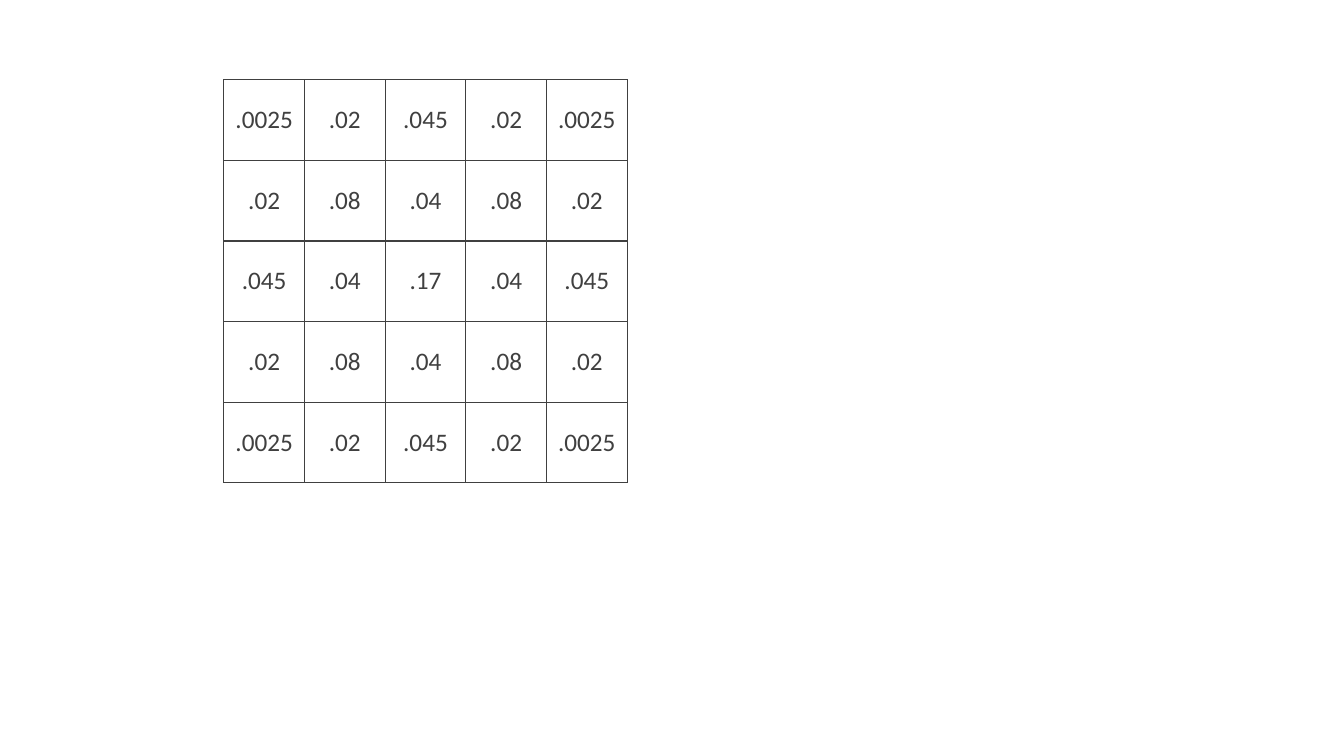
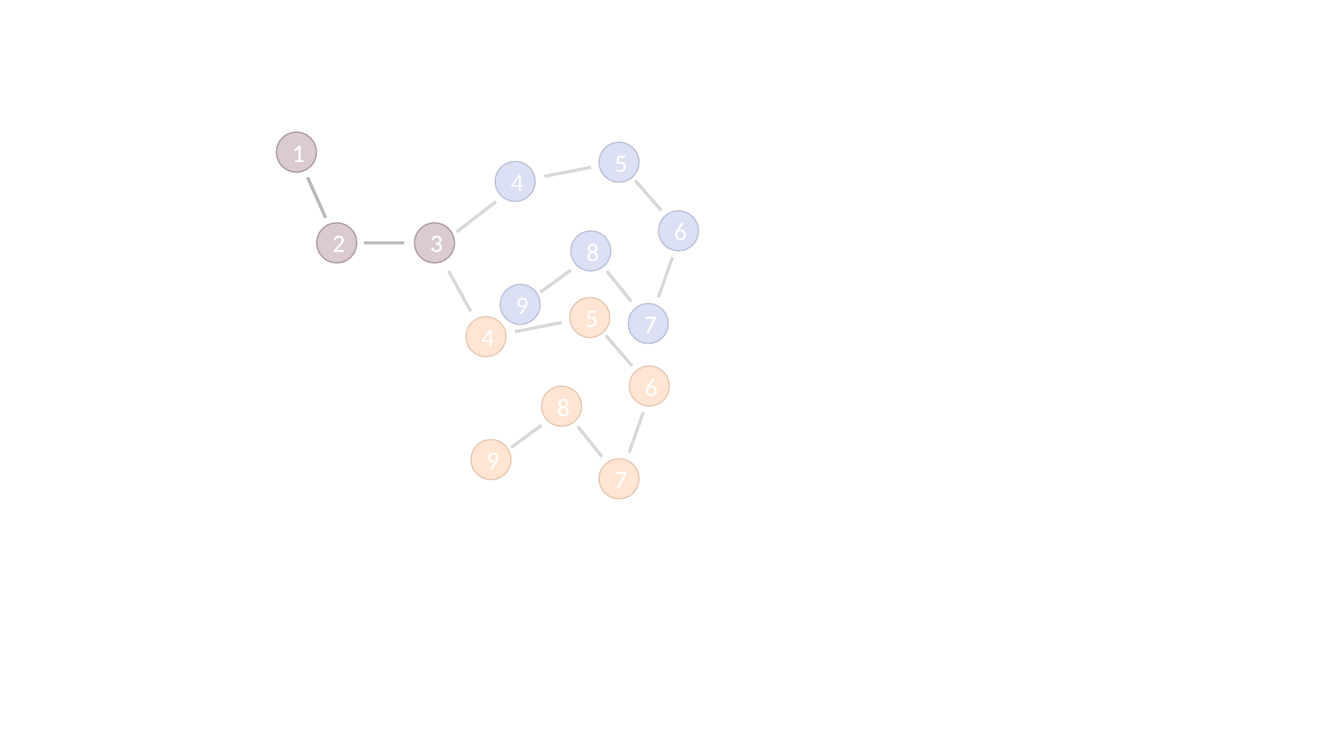
"""Build two slides: a 5 by 5 weight table and two branching chains of numbered nodes."""
from lxml import etree
from pptx import Presentation
from pptx import util as u
from pptx.dml.color import RGBColor
from pptx.enum import shapes, text
from pptx.oxml.ns import qn

STEP = u.Inches(0.1)
DARK, WHITE = "404040", "FFFFFF"
FONT, SIZE = "Calibri", u.Pt(18)


def paint(fill, colour, part=None, opacity=20):
    """Fill with a hex colour; fade every colour of the given part, if any."""
    fill.solid()
    fill.fore_color.rgb = RGBColor.from_string(colour)
    if part is not None:
        for tint in part.iter(qn("a:srgbClr")):
            if len(tint) == 0:
                etree.SubElement(tint, qn("a:alpha"), val=str(opacity * 1000))


def write(frame, words, colour):
    """Put one centred run of text into a text frame."""
    frame.vertical_anchor = text.MSO_ANCHOR.MIDDLE
    para = frame.paragraphs[0]
    para.alignment = text.PP_ALIGN.CENTER
    span = para.add_run()
    span.text = words
    span.font.name, span.font.size = FONT, SIZE
    paint(span.font.fill, colour)


deck = Presentation()
deck.slide_width, deck.slide_height = u.Inches(13.33), u.Inches(7.5)
blank = deck.slide_layouts[6]

page = deck.slides.add_slide(blank)
quarter = [[".0025", ".02", ".045"], [".02", ".08", ".04"], [".045", ".04", ".17"]]
half = [row + row[-2::-1] for row in quarter]
weights = half + half[-2::-1]
count, cell_size = len(weights), 8 * STEP
table = page.shapes.add_table(
    count, count, int(22.2 * STEP), int(7.9 * STEP), count * cell_size, count * cell_size
).table
table.first_row = table.horz_banding = False
for column in table.columns:
    column.width = cell_size
for row, values in zip(table.rows, weights):
    row.height = cell_size
    for cell, value in zip(row.cells, values):
        cell.margin_left = cell.margin_right = cell.margin_top = cell.margin_bottom = 0
        cell.vertical_anchor = text.MSO_ANCHOR.MIDDLE
        write(cell.text_frame, value, DARK)
        properties = cell._tc.get_or_add_tcPr()
        for side in ("lnL", "lnR", "lnT", "lnB"):
            border = etree.SubElement(properties, qn("a:" + side), w=str(u.Pt(1)))
            solid = etree.SubElement(border, qn("a:solidFill"))
            etree.SubElement(solid, qn("a:srgbClr"), val=DARK)
        cell.fill.background()

page = deck.slides.add_slide(blank)
trunk_nodes = [(27.4, 13.1), (31.4, 22.1), (41.1, 22.1)]
trunk_links = [(30.5, 17.6, 32.3, 21.6), (36.1, 24.1, 40.1, 24.1)]
branch_nodes = [(46.2, 31.4), (56.5, 29.5), (62.4, 36.3), (59.4, 45.5), (53.7, 38.3), (46.7, 43.6)]
branch_links = [
    (55.7, 32, 51.1, 32.9), (62.7, 36.3, 60.1, 33.3), (63.8, 40.9, 62.4, 44.9),
    (59.7, 45.3, 57.3, 42.3), (53.7, 42.2, 50.7, 44.4),
]
chains = [
    ("FF8021", "903E00", 0, 0, (46.7, 30.9, 44.5, 26.9)),
    ("4E67C8", "21306A", 2.9, -15.4, (49.2, 20, 45.3, 23)),
]
for colour, edge, right, down, fork in chains:
    nodes = trunk_nodes + [(x + right, y + down) for x, y in branch_nodes]
    links = trunk_links + [fork] + [
        (x1 + right, y1 + down, x2 + right, y2 + down) for x1, y1, x2, y2 in branch_links
    ]
    for number, (x, y) in enumerate(nodes, 1):
        node = page.shapes.add_shape(
            shapes.MSO_SHAPE.OVAL, int(x * STEP), int(y * STEP), 4 * STEP, 4 * STEP
        )
        node.shadow.inherit = False
        node.line.width = u.Pt(1)
        paint(node.fill, colour, node.element.spPr)
        paint(node.line.fill, edge, node.element.spPr)
        write(node.text_frame, str(number), WHITE)
    for ends in links:
        link = page.shapes.add_connector(
            shapes.MSO_CONNECTOR.STRAIGHT, *[int(end * STEP) for end in ends]
        )
        link.line.width = u.Pt(2.25)
        paint(link.line.fill, DARK, link.element.spPr)
        etree.SubElement(link.element.spPr, qn("a:effectLst"))

deck.save("out.pptx")
